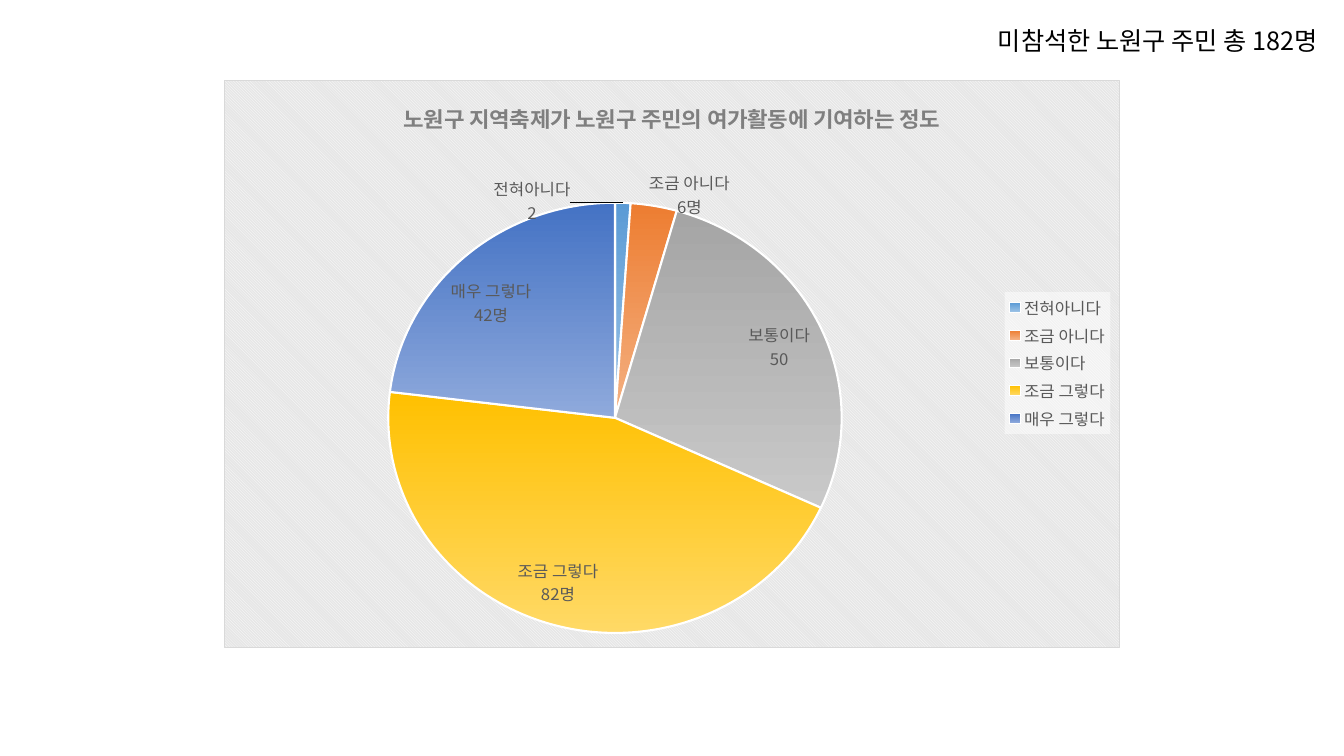
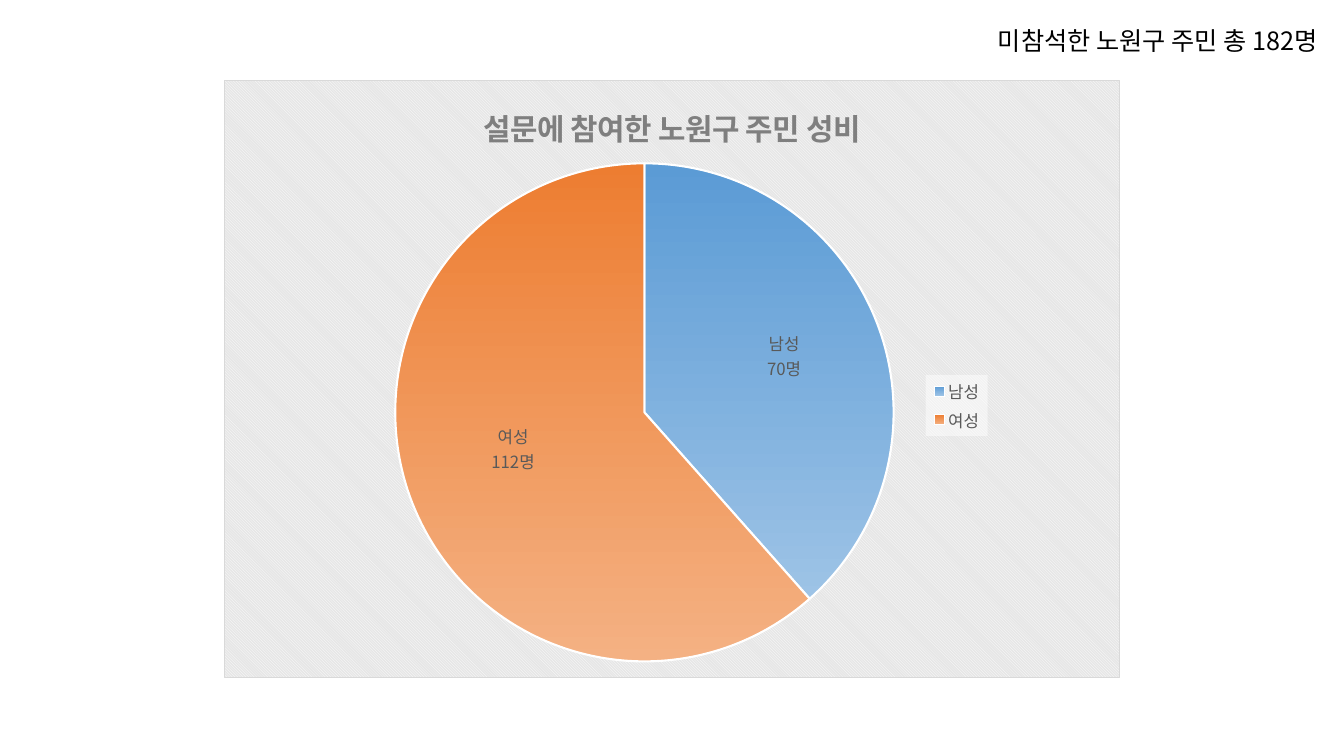
from lxml.etree import SubElement
from pptx import Presentation
from pptx.chart.data import CategoryChartData
from pptx.dml.color import RGBColor
from pptx.enum.chart import XL_CHART_TYPE, XL_LABEL_POSITION as LabelPos, XL_LEGEND_POSITION
from pptx.enum.text import MSO_AUTO_SIZE
from pptx.oxml import parse_xml
from pptx.oxml.ns import nsdecls, qn
from pptx.util import Emu, Pt

FONT = "Noto Sans CJK KR"
BLACK = RGBColor(0x00, 0x00, 0x00)
WHITE = RGBColor(0xFF, 0xFF, 0xFF)
TITLE_GRAY = RGBColor(0x7F, 0x7F, 0x7F)
LABEL_GRAY = RGBColor(0x59, 0x59, 0x59)
BORDER_GRAY = RGBColor(0xD9, 0xD9, 0xD9)
STRIPE_GRAY = RGBColor(0xE6, 0xE6, 0xE6)
SLICES = [
    (RGBColor(0x5B, 0x9B, 0xD5), RGBColor(0x9D, 0xC3, 0xE6)),
    (RGBColor(0xED, 0x7D, 0x31), RGBColor(0xF4, 0xB1, 0x83)),
    (RGBColor(0xA5, 0xA5, 0xA5), RGBColor(0xC9, 0xC9, 0xC9)),
    (RGBColor(0xFF, 0xC0, 0x00), RGBColor(0xFF, 0xD9, 0x66)),
    (RGBColor(0x44, 0x72, 0xC4), RGBColor(0x8F, 0xAA, 0xDC)),
]

SLIDE_W, SLIDE_H = 1344, 756
CHART_X, CHART_Y, CHART_W, CHART_H = 224, 80, 896, 598
HEADER_BOX = (988, 20, 378, 40)
HEADER = "미참석한 노원구 주민 총 182명"

CHARTS = [
    {
        "title": "노원구 지역축제가 노원구 주민의 여가활동에 기여하는 정도",
        "title_size": 16,
        "label_pos": LabelPos.BEST_FIT,
        "pie": (388, 209, 454, 454),
        "legend": (1005, 303, 106, 150),
        "slices": [
            ("전혀아니다", 2, None, (-91, 29)),
            ("조금 아니다", 6, "6명", (-6, 19)),
            ("보통이다", 50, None, (-78, 47)),
            ("조금 그렇다", 82, "82명", (47, -76)),
            ("매우 그렇다", 42, "42명", (71, 78)),
        ],
    },
    {
        "title": "설문에 참여한 노원구 주민 성비",
        "title_size": 21.3,
        "label_pos": LabelPos.OUTSIDE_END,
        "pie": (395, 163, 499, 499),
        "legend": (926, 375, 62, 61),
        "slices": [
            ("남성", 70, "70명", (-116, 59)),
            ("여성", 112, "112명", (129, -79)),
        ],
    },
]


def px(n):
    return Emu(round(n * 914400 / 100.8))


def style(font, size, color, bold=False):
    font.name, font.size, font.bold = FONT, Pt(size), bold
    font.color.rgb = color


def layout_xml(**values):
    items = "".join(f'<c:{k} val="{v}"/>' for k, v in values.items())
    return parse_xml(f'<c:layout {nsdecls("c")}><c:manualLayout>{items}'
                     '</c:manualLayout></c:layout>')


def box_layout(box, **target):
    x, y, w, h = box
    return layout_xml(
        **target, xMode="edge", yMode="edge",
        x=round((x - CHART_X) / CHART_W, 4), y=round((y - CHART_Y) / CHART_H, 4),
        w=round(w / CHART_W, 4), h=round(h / CHART_H, 4))


def sp_pr(inner):
    return parse_xml(f'<c:spPr {nsdecls("c", "a")}>{inner}</c:spPr>')


def add_separator(labels):
    sep = SubElement(labels, qn("c:separator"))
    sep.text = "\n"
    labels.find(qn("c:showBubbleSize")).addnext(sep)


def style_area(chart):
    space = chart._chartSpace
    space.find(qn("c:chart")).addnext(sp_pr(
        '<a:pattFill prst="dkDnDiag">'
        f'<a:fgClr><a:srgbClr val="{WHITE}"/></a:fgClr>'
        f'<a:bgClr><a:srgbClr val="{STRIPE_GRAY}"/></a:bgClr></a:pattFill>'
        f'<a:ln w="9525"><a:solidFill><a:srgbClr val="{BORDER_GRAY}"/></a:solidFill></a:ln>'))


def place_pie(chart, box):
    plot_area = chart._chartSpace.find(".//" + qn("c:plotArea"))
    for old in plot_area.findall(qn("c:layout")):
        plot_area.remove(old)
    plot_area.insert(0, box_layout(box, layoutTarget="inner"))


def add_legend(chart, box):
    chart.has_legend = True
    legend = chart.legend
    legend.position = XL_LEGEND_POSITION.RIGHT
    legend.include_in_layout = False
    style(legend.font, 12, LABEL_GRAY)
    element = chart._chartSpace.find(".//" + qn("c:legend"))
    for old in element.findall(qn("c:layout")):
        element.remove(old)
    overlay = element.find(qn("c:overlay"))
    overlay.addprevious(box_layout(box))
    overlay.addnext(sp_pr(
        f'<a:solidFill><a:srgbClr val="{WHITE}"><a:alpha val="50000"/></a:srgbClr></a:solidFill>'
        '<a:ln><a:noFill/></a:ln>'))


def paint_slice(point, colors):
    fill = point.format.fill
    fill.gradient()
    fill.gradient_angle = 270
    for stop, color, position in zip(fill.gradient_stops, colors, (0, 1)):
        stop.color.rgb = color
        stop.position = position
    point.format.line.color.rgb = WHITE
    point.format.line.width = Pt(1.5)


def write_label(label, name, count, position):
    if count:
        tf = label.text_frame
        for i, line in enumerate((name, count)):
            p = tf.add_paragraph() if i else tf.paragraphs[0]
            r = p.add_run()
            r.text = line
            style(r.font, 12, LABEL_GRAY)
    else:
        style(label.font, 12, LABEL_GRAY)
    label.position = position


def add_labels(series, spec_):
    labels = series.data_labels
    labels.show_value = labels.show_category_name = True
    labels.position = spec_["label_pos"]
    style(labels.font, 12, LABEL_GRAY)
    for i, (name, value, count, shift) in enumerate(spec_["slices"]):
        write_label(series.points[i].data_label, name, count, spec_["label_pos"])
    group = series._element.find(qn("c:dLbls"))
    add_separator(group)
    for element, (*rest, (dx, dy)) in zip(group.findall(qn("c:dLbl")), spec_["slices"]):
        for old in element.findall(qn("c:layout")):
            element.remove(old)
        element.find(qn("c:idx")).addnext(
            layout_xml(x=round(dx / CHART_W, 4), y=round(dy / CHART_H, 4)))
        element.find(qn("c:showCatName")).set("val", "1")
        add_separator(element)


def add_pie(s, spec_):
    data = CategoryChartData()
    data.categories = [row[0] for row in spec_["slices"]]
    data.add_series("Series 1", [row[1] for row in spec_["slices"]])
    frame = s.shapes.add_chart(
        XL_CHART_TYPE.PIE, *map(px, (CHART_X, CHART_Y, CHART_W, CHART_H)), data)
    chart = frame.chart
    style(chart.font, 10, BLACK)
    style_area(chart)
    chart.has_title = True
    chart.chart_title.include_in_layout = False
    r = chart.chart_title.text_frame.paragraphs[0].add_run()
    r.text = spec_["title"]
    style(r.font, spec_["title_size"], TITLE_GRAY, bold=True)
    place_pie(chart, spec_["pie"])
    add_legend(chart, spec_["legend"])
    plot = chart.plots[0]
    plot.vary_by_categories = True
    series = plot.series[0]
    for i, row in enumerate(spec_["slices"]):
        paint_slice(series.points[i], SLICES[i])
    add_labels(series, spec_)


def add_header(s):
    tf = s.shapes.add_textbox(*map(px, HEADER_BOX)).text_frame
    tf.word_wrap = False
    tf.auto_size = MSO_AUTO_SIZE.SHAPE_TO_FIT_TEXT
    r = tf.paragraphs[0].add_run()
    r.text = HEADER
    style(r.font, 18, BLACK)


def main():
    prs = Presentation()
    prs.slide_width, prs.slide_height = px(SLIDE_W), px(SLIDE_H)
    for spec_ in CHARTS:
        s = prs.slides.add_slide(prs.slide_layouts[6])
        add_pie(s, spec_)
        add_header(s)
    prs.save("out.pptx")


if __name__ == "__main__":
    main()
